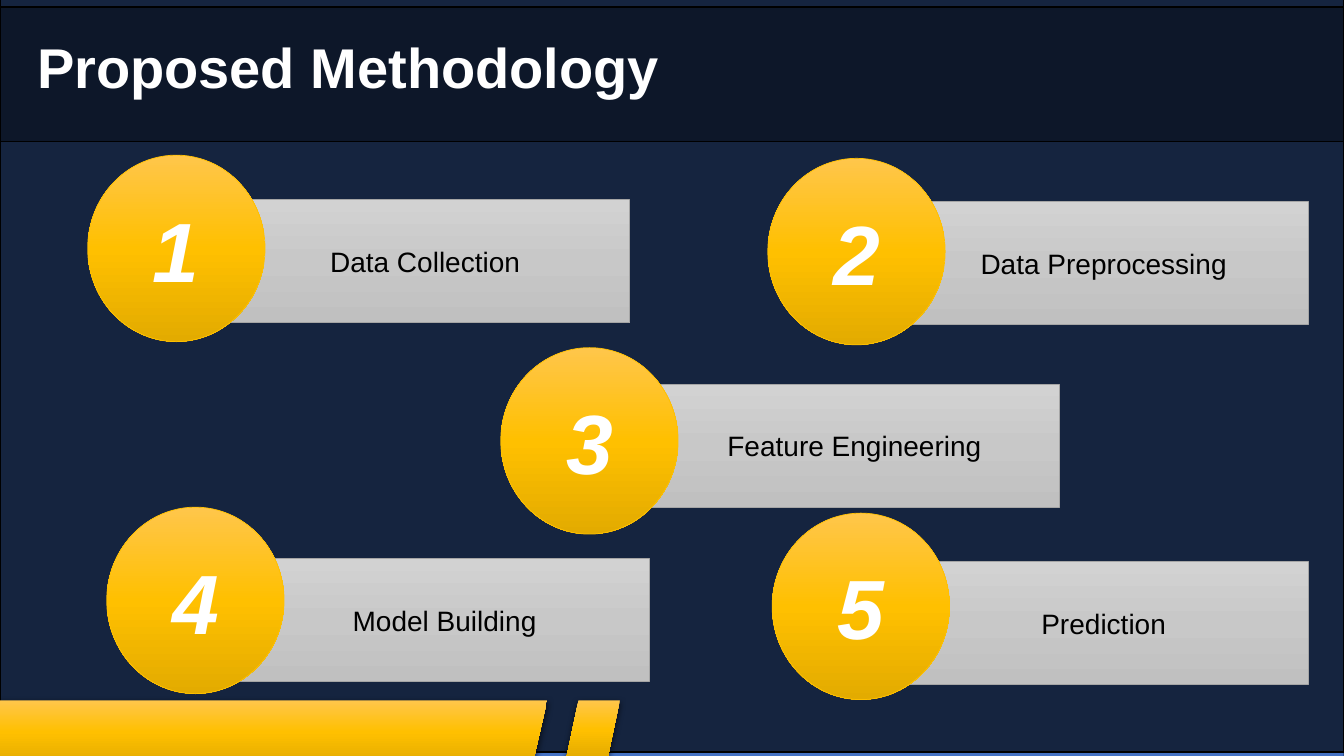
from copy import deepcopy
from dataclasses import dataclass
from typing import NamedTuple

from lxml.etree import SubElement
from pptx import Presentation
from pptx.dml.color import RGBColor as Rgb
from pptx.enum.shapes import MSO_SHAPE as Preset
from pptx.enum.text import MSO_ANCHOR as Anchor, PP_ALIGN as Align
from pptx.oxml.ns import qn
from pptx.shapes.autoshape import Shape
from pptx.text.text import TextFrame
from pptx.util import Cm, Pt


@dataclass(frozen=True)
class Theme:
    font: str = "Arial"
    black: str = "000000"
    white: str = "FFFFFF"
    blue: str = "4472C4"
    blue_edge: str = "325491"
    gold: tuple[str, ...] = ("FFC64B", "FFC000", "E3AB00")
    gold_edge: str = "FFC000"
    silver: tuple[str, ...] = ("D2D2D2", "C8C8C8", "C0C0C0")
    silver_edge: str = "A5A5A5"
    title_size: int = 40
    number_size: int = 60
    label_size: int = 20
    panel_line: float = 1
    step_line: float = 0.5


class Area(NamedTuple):
    left: float
    top: float
    width: float
    height: float


class Panel(NamedTuple):
    area: Area
    color: str
    edge: str
    opacity: int


class Step(NamedTuple):
    label: str
    bar: tuple[float, float]
    disc: tuple[float, float]


THEME = Theme()
PAGE_WIDTH, PAGE_HEIGHT = 33.87, 19.05
BAR_SIZE = (10.31, 3.1)
DISC_SIZE = (4.47, 4.7)
STRIPE_SLANT = 0.23

BACKDROP = Panel(Area(0, -0.05, PAGE_WIDTH, 19.15), THEME.blue, THEME.blue_edge, 100)
SHADE = Panel(Area(0, -0.1, PAGE_WIDTH, PAGE_HEIGHT), THEME.black, THEME.black, 68)
HEADER = Panel(Area(0, 0.18, PAGE_WIDTH, 3.38), THEME.black, THEME.black, 35)
TITLE_AREA = Area(0.69, 0.69, 32.5, 1.96)
STRIPES = (Area(-0.69, 17.65, 14.48, 1.6), Area(14.27, 17.65, 1.35, 1.47))
STEPS = (
    Step("Data Collection", (5.56, 5.03), (2.21, 3.91)),
    Step("Data Preprocessing", (22.66, 5.08), (19.35, 3.99)),
    Step("Feature Engineering", (16.38, 9.68), (12.62, 8.76)),
    Step("Model Building", (6.05, 14.07), (2.69, 12.78)),
    Step("Prediction", (22.66, 14.15), (19.46, 12.93)),
)


def add_preset(preset: Preset, area: Area) -> Shape:
    shape = page.shapes.add_shape(preset, *map(Cm, area))
    shape.shadow.inherit = False
    return shape


def set_line(shape: Shape, color: str, width: float) -> None:
    shape.line.color.rgb = Rgb.from_string(color)
    shape.line.width = Pt(width)


def set_gradient(shape: Shape, colors: tuple[str, ...]) -> None:
    shape.fill.gradient()
    shape.fill.gradient_angle = 270
    stop_list = shape._element.spPr.find(qn("a:gradFill")).find(qn("a:gsLst"))
    while len(stop_list) < len(colors):
        stop_list.append(deepcopy(stop_list[0]))
    for index, (stop, color) in enumerate(zip(shape.fill.gradient_stops, colors)):
        stop.color.rgb = Rgb.from_string(color)
        stop.position = index / (len(colors) - 1)


def set_text(frame: TextFrame, text: str, size: int, color: str,
             strong: bool = False, slanted: bool = False,
             align: Align = Align.CENTER) -> None:
    para = frame.paragraphs[0]
    para.text = text
    para.alignment = align
    para.font.name = THEME.font
    para.font.size = Pt(size)
    para.font.bold = strong
    para.font.italic = slanted
    para.font.color.rgb = Rgb.from_string(color)


def add_panel(panel: Panel) -> None:
    shape = add_preset(Preset.RECTANGLE, panel.area)
    shape.fill.solid()
    shape.fill.fore_color.rgb = Rgb.from_string(panel.color)
    if panel.opacity < 100:
        color = shape._element.spPr.find(qn("a:solidFill"))[0]
        SubElement(color, qn("a:alpha"), val=str(panel.opacity * 1000))
    set_line(shape, panel.edge, THEME.panel_line)


def add_stripe(area: Area) -> None:
    shape = add_preset(Preset.PARALLELOGRAM, area)
    shape.adjustments[0] = STRIPE_SLANT
    set_gradient(shape, THEME.gold)
    shape.line.fill.background()
    effects = shape._element.spPr.find(qn("a:effectLst"))
    shadow = SubElement(effects, qn("a:outerShdw"), blurRad=str(Pt(4.5)),
                        dist=str(Pt(1.5)), dir="5400000", algn="ctr", rotWithShape="0")
    color = SubElement(shadow, qn("a:srgbClr"), val=THEME.black)
    SubElement(color, qn("a:alpha"), val="63000")


def add_title(text: str) -> None:
    box = page.shapes.add_textbox(*map(Cm, TITLE_AREA))
    box.text_frame.word_wrap = True
    set_text(box.text_frame, text, THEME.title_size, THEME.white,
             strong=True, align=Align.LEFT)


def add_step(number: int, step: Step) -> None:
    bar = add_preset(Preset.RECTANGLE, Area(*step.bar, *BAR_SIZE))
    set_gradient(bar, THEME.silver)
    set_line(bar, THEME.silver_edge, THEME.step_line)
    set_text(bar.text_frame, step.label, THEME.label_size, THEME.black)
    disc = add_preset(Preset.OVAL, Area(*step.disc, *DISC_SIZE))
    set_gradient(disc, THEME.gold)
    set_line(disc, THEME.gold_edge, THEME.step_line)
    set_text(disc.text_frame, str(number), THEME.number_size, THEME.white,
             strong=True, slanted=True)
    for shape in (bar, disc):
        shape.text_frame.vertical_anchor = Anchor.MIDDLE


deck = Presentation()
deck.slide_width, deck.slide_height = Cm(PAGE_WIDTH), Cm(PAGE_HEIGHT)
page = deck.slides.add_slide(deck.slide_layouts[6])

add_panel(BACKDROP)
add_panel(SHADE)
for stripe in STRIPES:
    add_stripe(stripe)
add_panel(HEADER)
add_title("Proposed Methodology")
for number, step in enumerate(STEPS, start=1):
    add_step(number, step)

deck.save("out.pptx")
